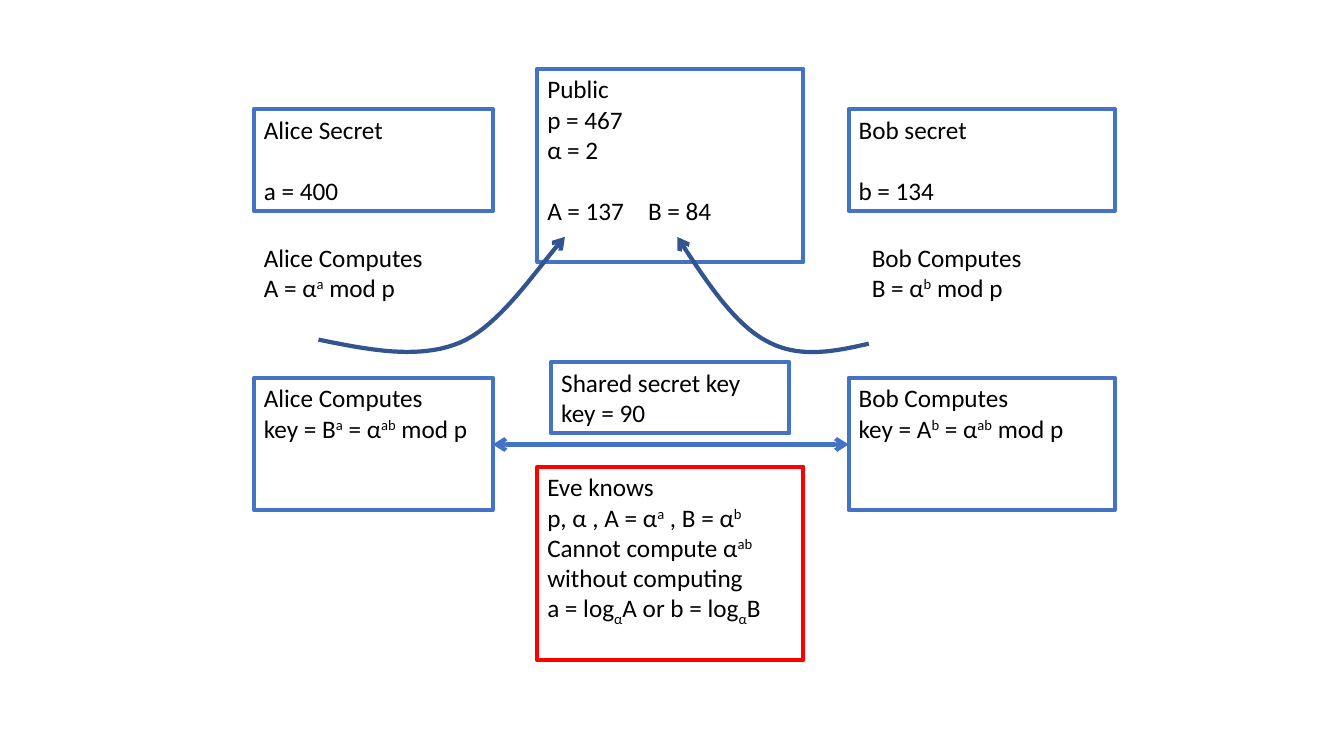
from lxml import etree
from pptx import Presentation, util as u
from pptx.dml.color import RGBColor
from pptx.enum import shapes, text
from pptx.oxml.ns import qn

BLUE = RGBColor(0x44, 0x72, 0xC4)
NAVY = RGBColor(0x32, 0x54, 0x91)
RED = RGBColor(0xFF, 0x00, 0x00)
BLACK = RGBColor(0x00, 0x00, 0x00)
FONT = "Calibri"
SIZE = 18
LINE_GAP = 22
LINE_WIDTH = 3
CURVE_STEPS = 20


def add_text(sp, lines, size=SIZE, color=BLACK, gap_at=None):
    """Write lines, where |x| is a superscript and |_x| a subscript."""
    tf = sp.text_frame
    tf.word_wrap = True
    tf.vertical_anchor = text.MSO_ANCHOR.TOP
    for i, line in enumerate(lines):
        p = tf.paragraphs[0] if i == 0 else tf.add_paragraph()
        p.alignment = text.PP_ALIGN.LEFT
        if i == gap_at:
            p.space_before = u.Pt(LINE_GAP)
        for j, piece in enumerate(line.split("|")):
            if not piece:
                continue
            r = p.add_run()
            r.text = piece.lstrip("_")
            r.font.name, r.font.size = FONT, u.Pt(size)
            r.font.color.rgb = color
            if j % 2:
                base = "-25000" if piece.startswith("_") else "30000"
                r.font._element.set("baseline", base)


def add_panel(s, box, lines, line=BLUE, gap_at=None):
    """Add an outlined box with text."""
    sp = s.shapes.add_shape(shapes.MSO_SHAPE.RECTANGLE, *map(u.Pt, box))
    sp.shadow.inherit = False
    sp.fill.background()
    sp.line.color.rgb = line
    sp.line.width = u.Pt(LINE_WIDTH)
    add_text(sp, lines, gap_at=gap_at)


def add_party(s, box, note_x, note_width, secret, public, key):
    """Add one party's secret, public value and shared key as a column."""
    x, y, w, h = box
    add_panel(s, (x, y, w, 73), secret, gap_at=1)
    note = s.shapes.add_textbox(*map(u.Pt, (x + note_x, y + 91.4, note_width, 51)))
    add_text(note, public)
    add_panel(s, (x, y + h - 94.5, w, 94.5), key)


def add_heads(sp, *ends):
    """Put open arrowheads on the given line ends."""
    ln = sp.line._get_or_add_ln()
    for end in ends:
        etree.SubElement(ln, qn("a:" + end), type="arrow")


def add_curve(s, origin, points):
    """Add an arrow along joined cubic curves, with points relative to origin."""
    x, y = origin
    track = [points[0]]
    for i in range(0, len(points) - 1, 3):
        p0, p1, p2, p3 = points[i:i + 4]
        for n in range(1, CURVE_STEPS + 1):
            t = n / CURVE_STEPS
            v = 1 - t
            track.append(tuple(
                v**3 * a + 3 * v * v * t * b + 3 * v * t * t * c + t**3 * d
                for a, b, c, d in zip(p0, p1, p2, p3)))
    track = [(u.Pt(x + px), u.Pt(y + py)) for px, py in track]
    fb = s.shapes.build_freeform(*track[0])
    fb.add_line_segments(track[1:], close=False)
    sp = fb.convert_to_shape()
    sp.shadow.inherit = False
    sp.fill.background()
    sp.line.color.rgb = NAVY
    sp.line.width = u.Pt(LINE_WIDTH)
    add_heads(sp, "tailEnd")


def add_link(s, x1, x2, y):
    """Add a level double-headed arrow."""
    cx = s.shapes.add_connector(
        shapes.MSO_CONNECTOR.STRAIGHT, u.Pt(x1), u.Pt(y), u.Pt(x2), u.Pt(y))
    cx.line.color.rgb = BLUE
    cx.line.width = u.Pt(LINE_WIDTH)
    add_heads(cx, "headEnd", "tailEnd")
    etree.SubElement(cx._element.spPr, qn("a:effectLst"))


def add_center(s, box):
    """Add the public values, the shared key and what Eve knows."""
    x, y, w, h = box
    add_panel(s, (x, y, w, 138.2),
              ["Public", "p = 467", "α = 2", "A = 137\tB = 84"], gap_at=3)
    add_panel(s, (x + 10, y + 209.5, w - 20, 51),
              ["Shared secret key", "key = 90"])
    add_panel(s, (x, y + h - 138.2, w, 138.2),
              ["Eve knows", "p, α , A = α|a| , B = α|b|",
               "Cannot compute α|ab| without computing",
               "a = log|_α|A or b = log|_α|B"], line=RED)


def main():
    """Build the key exchange slide."""
    prs = Presentation()
    prs.slide_width, prs.slide_height = u.Pt(960), u.Pt(540)
    s = prs.slides.add_slide(prs.slide_layouts[6])
    add_center(s, (383.8, 49, 190, 422.6))
    add_party(s, (181.4, 77.8, 170.6, 286.5), 0, 190,
              ["Alice Secret", "a = 400"],
              ["Alice Computes", "A = α|a| mod p"],
              ["Alice Computes", "key = B|a| = α|ab| mod p"])
    add_party(s, (606.2, 77.8, 190, 286.5), 9.4, 190,
              ["Bob secret", "b = 134"],
              ["Bob Computes", "B = α|b| mod p"],
              ["Bob Computes", "key = A|b| = α|ab| mod p"])
    add_curve(s, (227.5, 169.2), [
        (0, 73.4), (35.3, 80.6), (71.3, 87.8), (100.8, 75.6),
        (130.3, 63.4), (157, 20.9), (176, 0)])
    add_curve(s, (483.8, 169.2), [
        (136.8, 76.3), (111.6, 82.1), (86.4, 87.1), (63.4, 74.2),
        (40.3, 61.9), (20.2, 31), (0, 0)])
    add_link(s, 352, 606.2, 317.5)
    prs.save("out.pptx")


if __name__ == "__main__":
    main()
